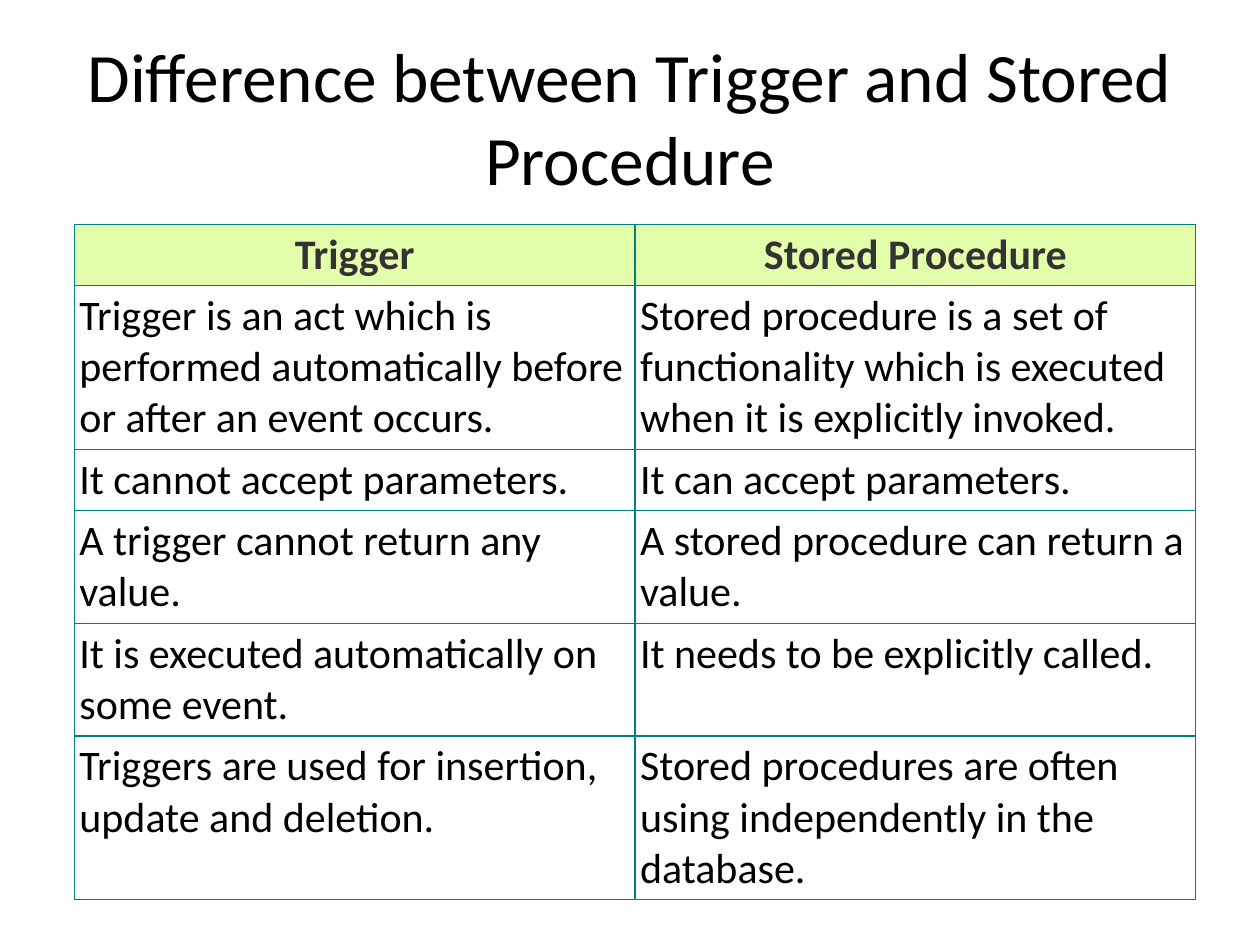
from dataclasses import dataclass

import pptx
import pptx.dml.color
import pptx.enum.text
import pptx.oxml
import pptx.oxml.ns
import pptx.util
from pptx.util import Inches, Pt

PP_ALIGN = pptx.enum.text.PP_ALIGN
COLORS = {
    "text": "000000",
    "header_text": "333333",
    "header_fill": "E3FEAB",
    "body_fill": "FFFFFF",
    "border": "008080",
}
FONT = "Calibri"
WIDTH, HEIGHT = 10, 7.5
LINE_HEIGHT = 0.407
CELL_MARGIN = 0.04


@dataclass
class Row:
    trigger: str
    procedure: str
    lines: int = 1
    header: bool = False

    @property
    def height(self) -> float:
        return self.lines * LINE_HEIGHT + 2 * CELL_MARGIN


ROWS = [
    Row("Trigger", "Stored Procedure", header=True),
    Row("Trigger is an act which is performed automatically before or after an event occurs.",
        "Stored procedure is a set of functionality which is executed when it is explicitly invoked.",
        lines=3),
    Row("It cannot accept parameters.", "It can accept parameters."),
    Row("A trigger cannot return any value.", "A stored procedure can return a value.", lines=2),
    Row("It is executed automatically on some event.", "It needs to be explicitly called.", lines=2),
    Row("Triggers are used for insertion, update and deletion.",
        "Stored procedures are often using independently in the database.", lines=3),
]


def rgb(name: str) -> pptx.dml.color.RGBColor:
    return pptx.dml.color.RGBColor.from_string(COLORS[name])


def write_text(tf, text: str, *, size: float = 24, color: str = "text",
               bold: bool = False, align=PP_ALIGN.LEFT) -> None:
    tf.word_wrap = True
    p = tf.paragraphs[0]
    p.alignment = align
    r = p.add_run()
    r.text = text
    r.font.name = FONT
    r.font.size = Pt(size)
    r.font.bold = bold
    r.font.color.rgb = rgb(color)


def add_borders(cell, width: float = 0.75) -> None:
    """Outline all four sides; call before the fill, which must follow in the XML."""
    tcPr = cell._tc.get_or_add_tcPr()
    for side in "LRTB":
        tcPr.append(pptx.oxml.parse_xml(
            f'<a:ln{side} {pptx.oxml.ns.nsdecls("a")} w="{Pt(width)}">'
            f'<a:solidFill><a:srgbClr val="{COLORS["border"]}"/></a:solidFill></a:ln{side}>'))


def fill_cell(cell, text: str, header: bool) -> None:
    cell.margin_left = cell.margin_right = Inches(CELL_MARGIN)
    cell.margin_top = cell.margin_bottom = Inches(CELL_MARGIN)
    add_borders(cell)
    cell.fill.solid()
    cell.fill.fore_color.rgb = rgb("header_fill" if header else "body_fill")
    write_text(cell.text_frame, text, bold=header,
               color="header_text" if header else "text",
               align=PP_ALIGN.CENTER if header else PP_ALIGN.LEFT)


def add_title(slide, text: str) -> None:
    sp = slide.shapes.add_textbox(Inches(0.05 * WIDTH), Inches(0.04 * HEIGHT),
                                  Inches(0.9 * WIDTH), Inches(HEIGHT / 6))
    tf = sp.text_frame
    tf.vertical_anchor = pptx.enum.text.MSO_ANCHOR.MIDDLE
    write_text(tf, text, size=39.6, align=PP_ALIGN.CENTER)


def add_comparison(slide, rows: list[Row]) -> None:
    height = sum(row.height for row in rows)
    table = slide.shapes.add_table(len(rows), 2, Inches(0.59), Inches(1.78),
                                   Inches(0.89 * WIDTH), Inches(height)).table
    for i, row in enumerate(rows):
        table.rows[i].height = Inches(row.height)
        for j, text in enumerate((row.trigger, row.procedure)):
            fill_cell(table.cell(i, j), text, row.header)


def main() -> None:
    prs = pptx.Presentation()
    prs.slide_width, prs.slide_height = Inches(WIDTH), Inches(HEIGHT)
    slide = prs.slides.add_slide(prs.slide_layouts[6])
    add_title(slide, "Difference between Trigger and Stored Procedure")
    add_comparison(slide, ROWS)
    prs.save("out.pptx")


if __name__ == "__main__":
    main()
